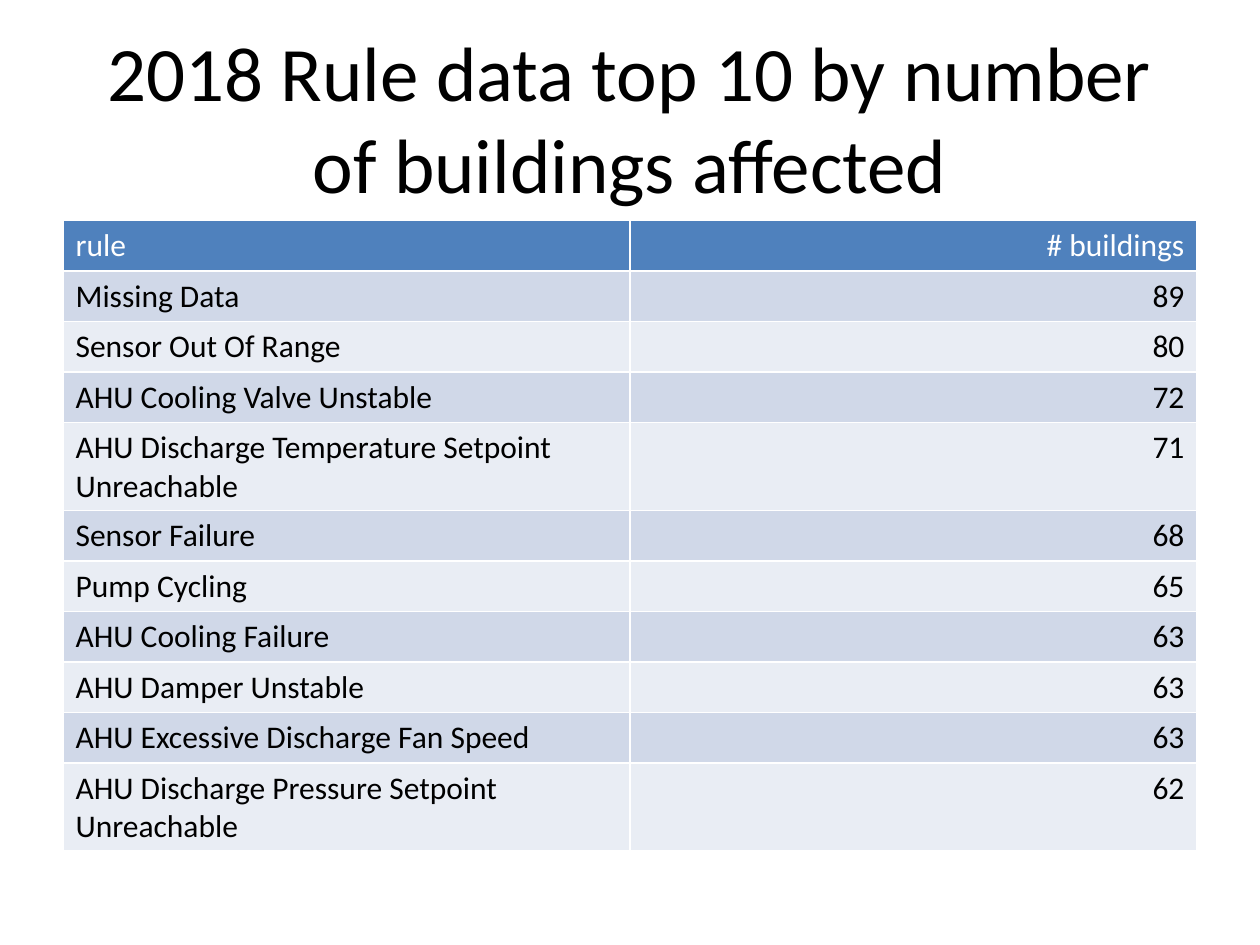
"""Build a slide ranking the 2018 rules by number of buildings affected."""
from dataclasses import dataclass

import lxml.etree
import pptx
import pptx.dml.color
import pptx.enum.text
import pptx.oxml.ns
import pptx.util

RGBColor = pptx.dml.color.RGBColor
Inches = pptx.util.Inches
Pt = pptx.util.Pt
Align = pptx.enum.text.PP_ALIGN

BLACK = RGBColor(0x00, 0x00, 0x00)
WHITE = RGBColor(0xFF, 0xFF, 0xFF)
HEADER_BLUE = RGBColor(0x4F, 0x81, 0xBD)
BANDS = (RGBColor(0xD0, 0xD8, 0xE8), RGBColor(0xE9, 0xED, 0xF4))

FONT = "Calibri"
SLIDE_WIDTH, SLIDE_HEIGHT = Inches(10), Inches(7.5)
MARGIN = int(SLIDE_WIDTH * 0.05)
CONTENT_WIDTH = SLIDE_WIDTH - 2 * MARGIN
LINE_HEIGHT = Inches(0.3)
ROW_PADDING = Inches(0.1)
BORDER_WIDTH = Pt(1)


@dataclass(frozen=True)
class RuleCount:
    """A rule, the buildings it affects and the text lines it takes."""
    rule: str
    buildings: str
    lines: int = 1


HEADING = RuleCount("rule", "# buildings")
RULES = (
    RuleCount("Missing Data", "89"),
    RuleCount("Sensor Out Of Range", "80"),
    RuleCount("AHU Cooling Valve Unstable", "72"),
    RuleCount("AHU Discharge Temperature Setpoint Unreachable", "71", 2),
    RuleCount("Sensor Failure", "68"),
    RuleCount("Pump Cycling", "65"),
    RuleCount("AHU Cooling Failure", "63"),
    RuleCount("AHU Damper Unstable", "63"),
    RuleCount("AHU Excessive Discharge Fan Speed", "63"),
    RuleCount("AHU Discharge Pressure Setpoint Unreachable", "62", 2),
)


def style_paragraph(paragraph, size: int, color: RGBColor, align: Align) -> None:
    """Set the font and alignment of a paragraph."""
    paragraph.alignment = align
    paragraph.font.name = FONT
    paragraph.font.size = Pt(size)
    paragraph.font.bold = False
    paragraph.font.color.rgb = color


def add_borders(cell) -> None:
    """Give a cell thin white borders on all four sides."""
    qn = pptx.oxml.ns.qn
    properties = cell._tc.get_or_add_tcPr()
    for side in ("lnL", "lnR", "lnT", "lnB"):
        line = lxml.etree.SubElement(properties, qn(f"a:{side}"), w=str(BORDER_WIDTH))
        fill = lxml.etree.SubElement(line, qn("a:solidFill"))
        lxml.etree.SubElement(fill, qn("a:srgbClr"), val=str(WHITE))


def add_title(slide, text: str) -> None:
    """Write the centred slide title."""
    title = slide.shapes.add_textbox(
        MARGIN, int(SLIDE_HEIGHT * 0.04), CONTENT_WIDTH, Inches(1.25))
    frame = title.text_frame
    frame.word_wrap = True
    frame.vertical_anchor = pptx.enum.text.MSO_ANCHOR.MIDDLE
    frame.text = text
    style_paragraph(frame.paragraphs[0], 44, BLACK, Align.CENTER)


def fill_row(table, index: int, entry: RuleCount) -> None:
    """Write one entry and color its row; row 0 is the heading."""
    table.rows[index].height = entry.lines * LINE_HEIGHT + ROW_PADDING
    background = BANDS[(index - 1) % 2] if index else HEADER_BLUE
    color = BLACK if index else WHITE
    columns = ((entry.rule, Align.LEFT), (entry.buildings, Align.RIGHT))
    for column, (text, align) in enumerate(columns):
        cell = table.cell(index, column)
        cell.text = text
        style_paragraph(cell.text_frame.paragraphs[0], 18, color, align)
        add_borders(cell)
        cell.fill.solid()
        cell.fill.fore_color.rgb = background


def add_ranking(slide) -> None:
    """Draw the table of rules with two equal columns."""
    entries = (HEADING, *RULES)
    height = sum(entry.lines * LINE_HEIGHT + ROW_PADDING for entry in entries)
    ranking = slide.shapes.add_table(
        len(entries), 2, MARGIN, Inches(1.75), CONTENT_WIDTH, height).table
    for index, entry in enumerate(entries):
        fill_row(ranking, index, entry)


def main() -> None:
    """Build and save the presentation."""
    presentation = pptx.Presentation()
    presentation.slide_width = SLIDE_WIDTH
    presentation.slide_height = SLIDE_HEIGHT
    slide = presentation.slides.add_slide(presentation.slide_layouts[6])
    add_title(slide, "2018 Rule data top 10 by number of buildings affected")
    add_ranking(slide)
    presentation.save("out.pptx")


main()
